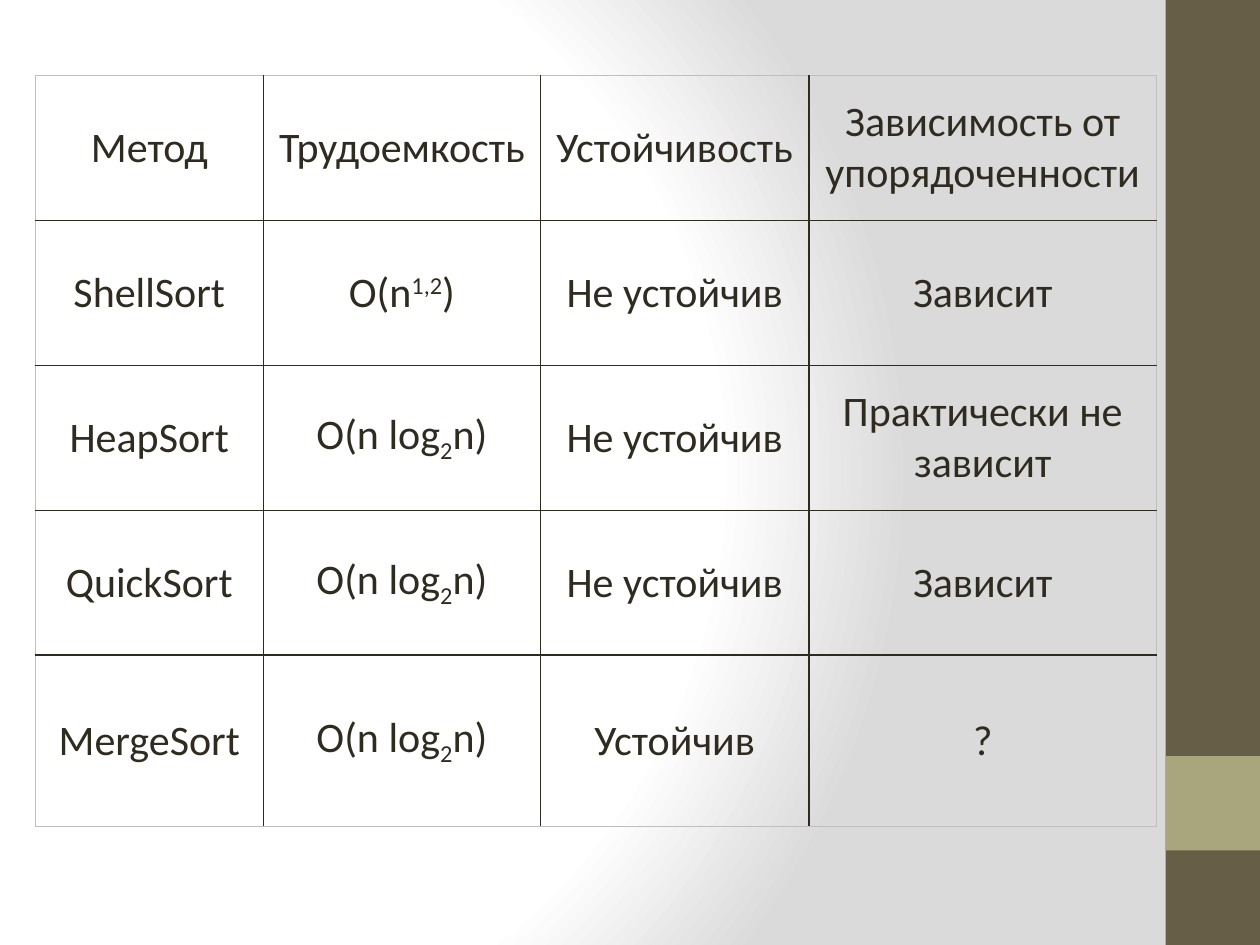
from dataclasses import dataclass

from pptx import Presentation
from pptx.dml.color import RGBColor
from pptx.enum.shapes import MSO_SHAPE
from pptx.enum.text import MSO_ANCHOR, PP_ALIGN
from pptx.oxml import parse_xml
from pptx.oxml.ns import nsdecls
from pptx.util import Inches, Pt

COLORS = {
    "ink": "2F2B20",
    "frame": "BFBFBF",
    "band": "675E47",
    "accent": "A9A57C",
    "light": "FFFFFF",
    "shade": "DADADA",
}


@dataclass(frozen=True)
class Span:
    text: str
    baseline: int = 0


@dataclass(frozen=True)
class Block:
    top: float
    height: float
    color: str


BLOCKS = [Block(0, 7.5, "band"), Block(6, 0.75, "accent")]
COLUMN_WIDTHS = [1.81, 2.2, 2.13, 2.76]
ROW_HEIGHTS = [1.15] * 4 + [1.36]

N_POWER = [Span("O(n"), Span("1,2", 30000), Span(")")]
N_LOG_N = [Span("O(n log"), Span("2", -25000), Span("n)")]
UNSTABLE = "Не устойчив"
ROWS = [
    ["Метод", "Трудоемкость", "Устойчивость", "Зависимость от упорядоченности"],
    ["ShellSort", N_POWER, UNSTABLE, "Зависит"],
    ["HeapSort", N_LOG_N, UNSTABLE, "Практически не зависит"],
    ["QuickSort", N_LOG_N, UNSTABLE, "Зависит"],
    ["MergeSort", N_LOG_N, "Устойчив", "?"],
]


def set_background(page) -> None:
    stops = "".join(
        f'<a:gs pos="{position * 1000}"><a:srgbClr val="{COLORS[name]}"/></a:gs>'
        for position, name in [(0, "light"), (75, "light"), (100, "shade")]
    )
    page._element.cSld.insert(0, parse_xml(
        f'<p:bg {nsdecls("p", "a")}><p:bgPr><a:gradFill rotWithShape="1">'
        f'<a:gsLst>{stops}</a:gsLst><a:path path="circle">'
        '<a:fillToRect l="20000" t="50000" r="100000" b="50000"/></a:path>'
        '</a:gradFill><a:effectLst/></p:bgPr></p:bg>'
    ))


def add_block(page, block: Block) -> None:
    shape = page.shapes.add_shape(
        MSO_SHAPE.RECTANGLE, Inches(9.25), Inches(block.top),
        Inches(0.75), Inches(block.height),
    )
    shape.shadow.inherit = False
    shape.fill.solid()
    shape.fill.fore_color.rgb = RGBColor.from_string(COLORS[block.color])
    shape.line.fill.background()


def set_borders(cell, outer: dict[str, bool]) -> None:
    """Draw the four sides, with the table's outer frame in a paler colour."""
    properties = cell._tc.get_or_add_tcPr()
    for index, (side, is_outer) in enumerate(outer.items()):
        color = COLORS["frame" if is_outer else "ink"]
        properties.insert(index, parse_xml(
            f'<a:ln{side} {nsdecls("a")} w="12700"><a:solidFill>'
            f'<a:srgbClr val="{color}"/></a:solidFill></a:ln{side}>'
        ))


def fill_cell(cell, content: str | list[Span]) -> None:
    cell.fill.background()
    cell.vertical_anchor = MSO_ANCHOR.MIDDLE
    para = cell.text_frame.paragraphs[0]
    para.alignment = PP_ALIGN.CENTER
    para.font.name = "Calibri"
    para.font.size = Pt(24)
    para.font.color.rgb = RGBColor.from_string(COLORS["ink"])
    for span in [Span(content)] if isinstance(content, str) else content:
        run = para.add_run()
        run.text = span.text
        if span.baseline:
            run._r.get_or_add_rPr().set("baseline", str(span.baseline))


def add_method_table(page) -> None:
    table = page.shapes.add_table(
        len(ROWS), len(COLUMN_WIDTHS), Inches(0.28), Inches(0.6),
        Inches(sum(COLUMN_WIDTHS)), Inches(sum(ROW_HEIGHTS)),
    ).table
    table.first_row = table.horz_banding = False
    for column, width in zip(table.columns, COLUMN_WIDTHS):
        column.width = Inches(width)
    for row, height in zip(table.rows, ROW_HEIGHTS):
        row.height = Inches(height)
    for i, contents in enumerate(ROWS):
        for j, content in enumerate(contents):
            cell = table.cell(i, j)
            fill_cell(cell, content)
            set_borders(cell, {
                "L": j == 0, "R": j == len(contents) - 1,
                "T": i == 0, "B": i == len(ROWS) - 1,
            })


def main() -> None:
    deck = Presentation()
    deck.slide_width, deck.slide_height = Inches(10), Inches(7.5)
    page = deck.slides.add_slide(deck.slide_layouts[6])
    set_background(page)
    for block in BLOCKS:
        add_block(page, block)
    add_method_table(page)
    deck.save("out.pptx")


if __name__ == "__main__":
    main()
